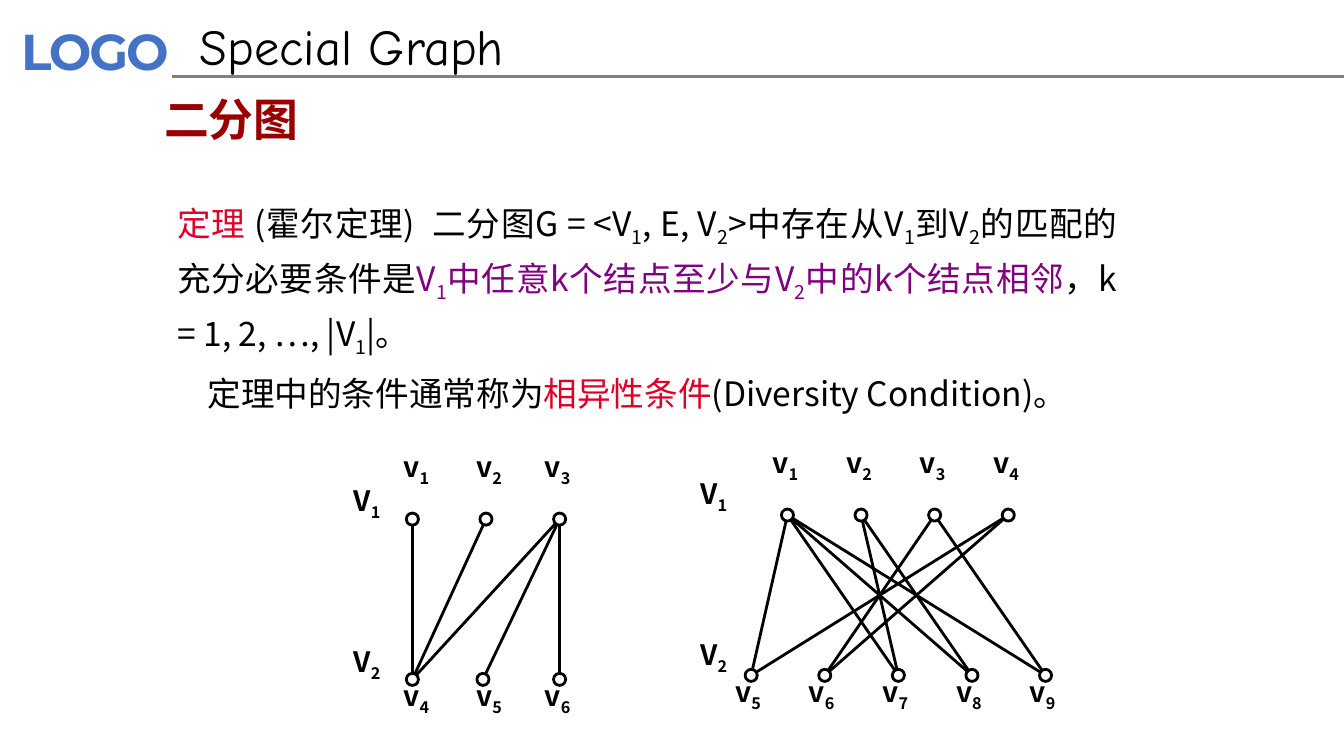
from dataclasses import dataclass
from math import hypot

from lxml.etree import SubElement
from pptx import Presentation
from pptx.dml.color import RGBColor
from pptx.enum.shapes import MSO_CONNECTOR, MSO_SHAPE
from pptx.enum.text import MSO_ANCHOR, PP_ALIGN
from pptx.oxml.ns import qn
from pptx.util import Inches, Pt


@dataclass(frozen=True)
class Theme:
    black: str = "000000"
    white: str = "FFFFFF"
    gray: str = "808080"
    blue: str = "4472C4"
    maroon: str = "990000"
    red: str = "DF0029"
    purple: str = "800080"
    body_font: str = "Noto Sans CJK SC"
    title_font: str = "Comic Neue"
    logo_font: str = "Montserrat"
    title_size: int = 36
    heading_size: int = 32
    body_size: int = 24
    label_size: int = 20
    line_width: int = 2


THEME = Theme()
WIDTH, HEIGHT = 13.33, 7.5
RADIUS = 0.06
LABEL_WIDTH, LABEL_HEIGHT = 0.47, 0.33

THEOREM = [
    ("定理 ", THEME.red),
    ("(霍尔定理)  二分图G = <V_1_, E, V_2_>中存在从V_1_到V_2_的匹配的充分必要条件是", THEME.black),
    ("V_1_中任意k个结点至少与V_2_中的k个结点相邻", THEME.purple),
    ("，k = 1, 2, …, |V_1_|。", THEME.black),
]
REMARK = [
    ("定理中的条件通常称为", THEME.black),
    ("相异性条件", THEME.red),
    ("(Diversity Condition)。", THEME.black),
]


def evenly(start, step, count):
    return [start + step * index for index in range(count)]


GRAPHS = [
    {
        "rows": (5.15, 6.74),
        "nodes": (evenly(4.09, 0.73, 3), [4.09, 4.79, 5.55]),
        "labels": ([4.13, 4.85, 5.53], [4.13, 4.85, 5.53]),
        "side": (3.64, -0.35),
        "edges": [(3, 6), (1, 4), (2, 4), (3, 4), (3, 5)],
    },
    {
        "rows": (5.11, 6.7),
        "nodes": (evenly(7.81, 0.73, 4), evenly(7.45, 0.73, 5)),
        "labels": (evenly(7.79, 0.73, 4), evenly(7.42, 0.73, 5)),
        "side": (7.08, -0.38),
        "edges": [(2, 7), (3, 9), (1, 7), (1, 5), (1, 9), (1, 8), (3, 6), (2, 8), (4, 6), (4, 5)],
    },
]
LABEL_OFFSETS = (-0.69, -0.01)


def color(value):
    return RGBColor.from_string(value)


def add_text(shapes, box, paragraphs, size, font=THEME.body_font, bold=False,
             margins=(0.1, 0.05), align=PP_ALIGN.LEFT, anchor=MSO_ANCHOR.TOP):
    shape = shapes.add_textbox(*map(Inches, box))
    frame = shape.text_frame
    frame.word_wrap = True
    frame.vertical_anchor = anchor
    frame.margin_left = frame.margin_right = Inches(margins[0])
    frame.margin_top = frame.margin_bottom = Inches(margins[1])
    for index, parts in enumerate(paragraphs):
        paragraph = frame.add_paragraph() if index else frame.paragraphs[0]
        paragraph.alignment = align
        paragraph.font.size = Pt(size)
        paragraph.font.bold = bold
        paragraph.font.name = font
        properties = paragraph._p.pPr.find(qn("a:defRPr"))
        SubElement(properties, qn("a:ea")).set("typeface", font)
        for text, fill in parts:
            for position, piece in enumerate(text.split("_")):
                if piece:
                    run = paragraph.add_run()
                    run.text = piece
                    run.font.color.rgb = color(fill)
                    if position % 2:
                        run._r.get_or_add_rPr().set("baseline", "-25000")
    return frame.paragraphs


def add_line(shapes, start, end, fill=THEME.black):
    line = shapes.add_connector(MSO_CONNECTOR.STRAIGHT, *map(Inches, (*start, *end)))
    line.line.color.rgb = color(fill)
    line.line.width = Pt(THEME.line_width)
    SubElement(line._element.spPr, qn("a:effectLst"))


def add_edge(shapes, start, end):
    run, rise = end[0] - start[0], end[1] - start[1]
    share = RADIUS / hypot(run, rise)
    step_x, step_y = run * share, rise * share
    add_line(shapes, (start[0] + step_x, start[1] + step_y), (end[0] - step_x, end[1] - step_y))


def add_node(shapes, center):
    box = (center[0] - RADIUS, center[1] - RADIUS, 2 * RADIUS, 2 * RADIUS)
    node = shapes.add_shape(MSO_SHAPE.OVAL, *map(Inches, box))
    node.shadow.inherit = False
    node.fill.solid()
    node.fill.fore_color.rgb = color(THEME.white)
    node.line.color.rgb = color(THEME.black)
    node.line.width = Pt(THEME.line_width)


def add_label(shapes, text, center_x, top):
    box = (center_x - LABEL_WIDTH / 2, top, LABEL_WIDTH, LABEL_HEIGHT)
    add_text(shapes, box, [[(text, THEME.black)]], THEME.label_size, bold=True,
             margins=(0, 0), align=PP_ALIGN.CENTER)


def add_graph(slide, graph):
    shapes = slide.shapes.add_group_shape().shapes
    centers = [(x, y) for y, row in zip(graph["rows"], graph["nodes"]) for x in row]
    for first, second in graph["edges"]:
        add_edge(shapes, centers[first - 1], centers[second - 1])
    for center in centers:
        add_node(shapes, center)
    label_spots = [(x, y + offset)
                   for y, offset, row in zip(graph["rows"], LABEL_OFFSETS, graph["labels"])
                   for x in row]
    for number, spot in enumerate(label_spots, 1):
        add_label(shapes, f"v_{number}_", *spot)
    side_x, side_offset = graph["side"]
    for number, y in enumerate(graph["rows"], 1):
        add_label(shapes, f"V_{number}_", side_x, y + side_offset)


def main():
    presentation = Presentation()
    presentation.slide_width, presentation.slide_height = Inches(WIDTH), Inches(HEIGHT)
    slide = presentation.slides.add_slide(presentation.slide_layouts[6])
    shapes = slide.shapes

    logo = add_text(shapes, (0.08, 0.13, 1.86, 0.74), [[("LOGO", THEME.blue)]],
                    THEME.title_size, THEME.logo_font, True, (0.13, 0.07))
    for run in logo[0].runs:
        run._r.get_or_add_rPr().set("spc", "-150")
    add_line(shapes, (1.71, 0.76), (WIDTH, 0.76), THEME.gray)
    add_text(shapes, (1.53, 0.67, 8.4, 1.02), [[("二分图", THEME.maroon)]],
             THEME.heading_size, bold=True, anchor=MSO_ANCHOR.MIDDLE)
    add_text(shapes, (1.88, 0.1, 8.62, 0.71), [[("Special Graph", THEME.black)]],
             THEME.title_size, THEME.title_font)
    theorem, remark = add_text(shapes, (1.66, 1.87, 9.52, 2.08), [THEOREM, REMARK],
                               THEME.body_size, align=PP_ALIGN.JUSTIFY)
    theorem.line_spacing = remark.line_spacing = 1.2
    remark.space_before = Pt(THEME.body_size * 0.2)
    remark._p.pPr.set("indent", str(Inches(0.3)))
    for graph in GRAPHS:
        add_graph(slide, graph)
    presentation.save("out.pptx")


if __name__ == "__main__":
    main()
